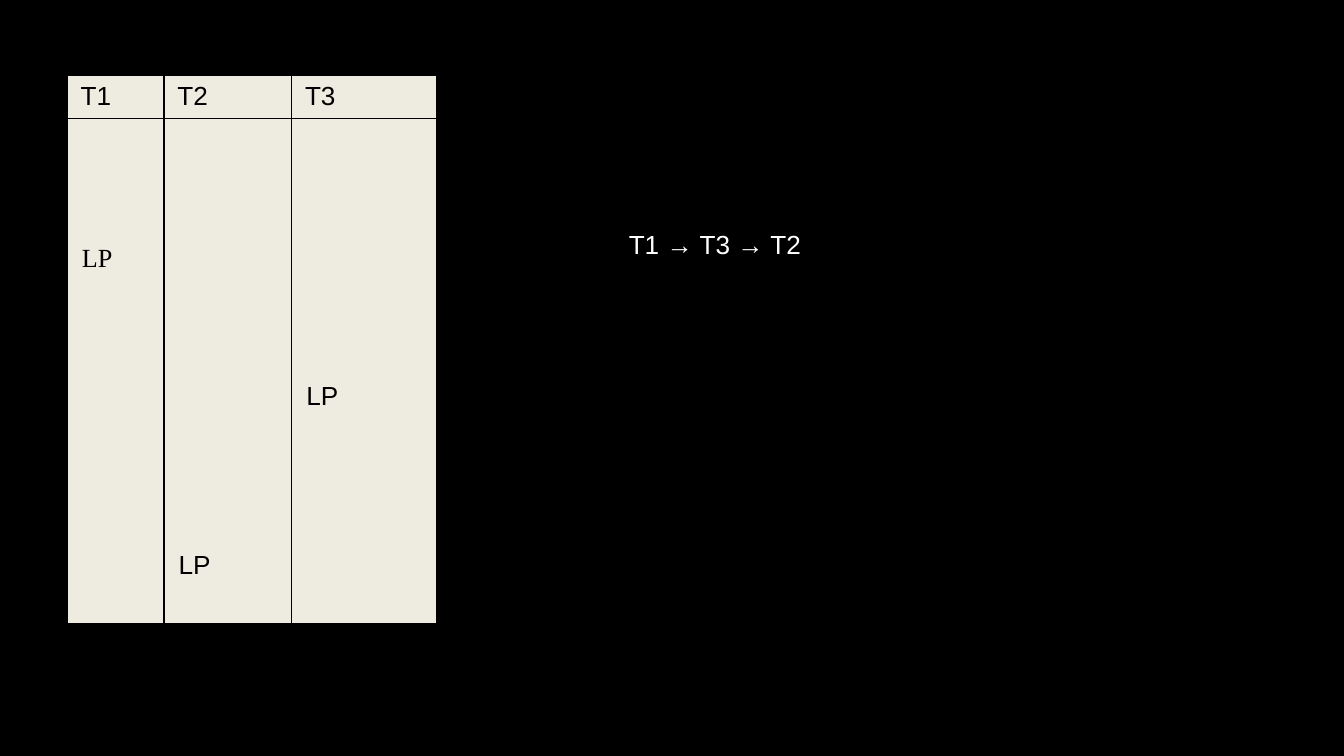
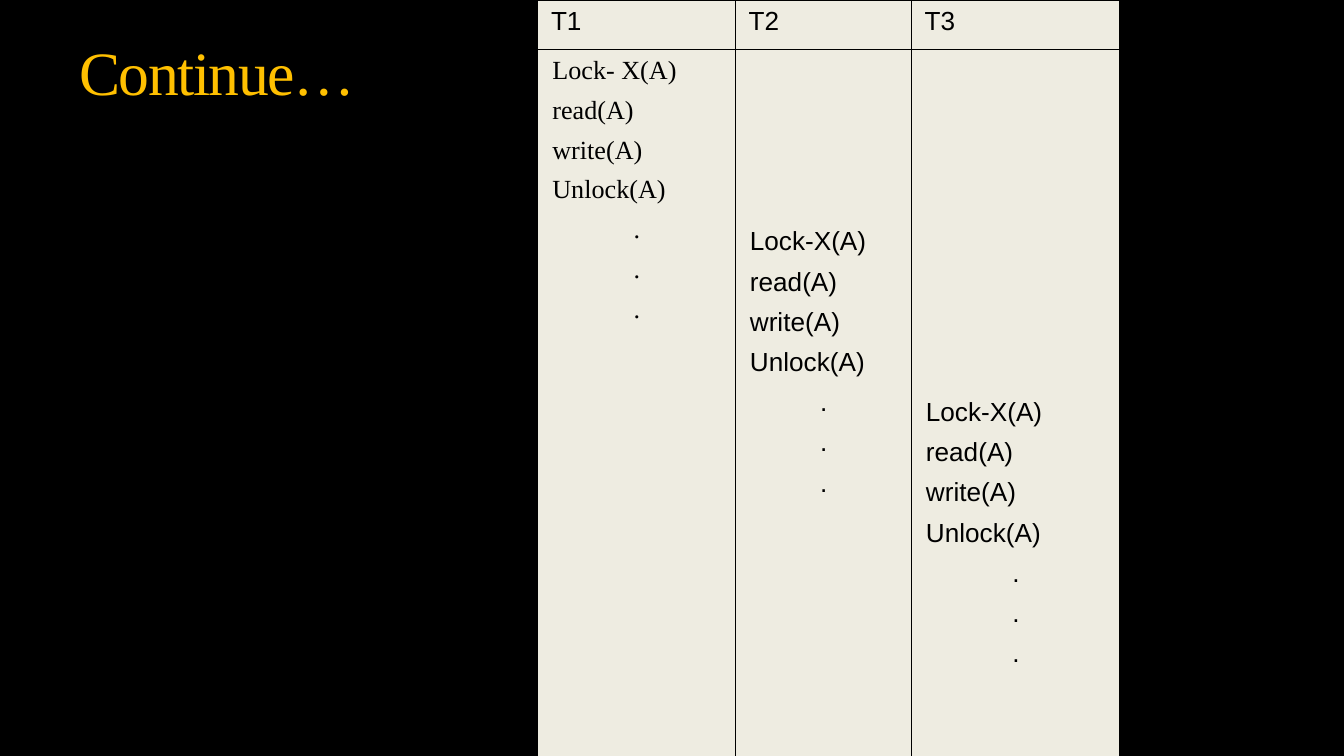
from lxml.etree import SubElement
from pptx import Presentation
from pptx.dml.color import RGBColor
from pptx.enum.text import MSO_AUTO_SIZE as AutoSize, PP_ALIGN as Align
from pptx.oxml.ns import qn
from pptx.util import Inches, Pt

COLORS = {"background": "000000", "cell": "EEECE1", "ink": "000000",
          "title": "FFC000", "light": "FFFFFF"}
SANS, SERIF = "Arial", "Times New Roman"
BODY_SIZE = 14
TRANSACTIONS = ["T1", "T2", "T3"]
COLUMN_FONTS = [SERIF, SANS, SANS]
DOTS = [".", ".", "."]
STEPS = ["read(A)", "write(A)", "Unlock(A)"] + DOTS


def rgb(name):
    return RGBColor.from_string(COLORS[name])


def style(paragraph, size, font_name, color):
    paragraph.font.size = Pt(size)
    paragraph.font.name = font_name
    paragraph.font.color.rgb = rgb(color)


def add_text(slide, box, text, size, font_name, color):
    text_box = slide.shapes.add_textbox(*map(Inches, box))
    frame = text_box.text_frame
    frame.word_wrap = True
    frame.auto_size = AutoSize.SHAPE_TO_FIT_TEXT
    paragraph = frame.paragraphs[0]
    paragraph.text = text
    style(paragraph, size, font_name, color)
    return frame


def add_title(slide, box, text):
    frame = add_text(slide, box, text, 33, SERIF, "title")
    frame.margin_right = frame.margin_bottom = 0
    frame.margin_left = frame.margin_top = Inches(0.01)
    frame.paragraphs[0].runs[0].font._element.set("spc", "-80")


def add_borders(cell):
    properties = cell._tc.get_or_add_tcPr()
    for side in ("lnL", "lnR", "lnT", "lnB"):
        line = SubElement(properties, qn(f"a:{side}"), w=str(Pt(0.75)))
        fill = SubElement(line, qn("a:solidFill"))
        SubElement(fill, qn("a:srgbClr"), val=COLORS["ink"])


def fill_cell(cell, lines, font_name, left=0.1, top=0.05):
    """Write lines starting at the given inset; dots are centred."""
    add_borders(cell)
    cell.fill.solid()
    cell.fill.fore_color.rgb = rgb("cell")
    cell.margin_left, cell.margin_top = Inches(left), Inches(top)
    frame = cell.text_frame
    for index, line in enumerate(lines):
        paragraph = frame.add_paragraph() if index else frame.paragraphs[0]
        paragraph.text = line
        if index:
            paragraph.space_before = Pt(5.8)
        if line == ".":
            paragraph.alignment = Align.CENTER
        style(paragraph, BODY_SIZE, font_name, "ink")


def add_schedule(slide, position, widths, heights, operations, starts):
    """Add a table whose columns each begin their operations at a start depth."""
    size = sum(widths), sum(heights)
    frame = slide.shapes.add_table(2, len(widths), *map(Inches, position + size))
    table = frame.table
    table.first_row = table.horz_banding = False
    for row, height in zip(table.rows, heights):
        row.height = Inches(height)
    for index, width in enumerate(widths):
        table.columns[index].width = Inches(width)
        fill_cell(table.cell(0, index), [TRANSACTIONS[index]], SANS)
        fill_cell(table.cell(1, index), operations[index],
                  COLUMN_FONTS[index], left=0.11, top=starts[index])


def build_lock_points(slide):
    add_schedule(slide, (0.5, 0.56), [0.72, 0.95, 1.08], [0.32, 3.76],
                 [["LP"]] * 3, [0.94, 3.22, 1.96])
    add_text(slide, (4.58, 1.65, 3.25, 0.34), "T1 → T3 → T2",
             BODY_SIZE, SANS, "light")


def build_lock_schedule(slide):
    add_title(slide, (0.58, 0.24, 8.75, 0.57), "Continue…")
    operations = [[lock] + STEPS
                  for lock in ("Lock- X(A)", "Lock-X(A)", "Lock-X(A)")]
    add_schedule(slide, (4, 0), [1.47, 1.31, 1.55], [0.37, 5.43],
                 operations, [0.05, 1.32, 2.59])


def main():
    presentation = Presentation()
    presentation.slide_width = Inches(10)
    presentation.slide_height = Inches(5.625)
    background = presentation.slide_master.background.fill
    background.solid()
    background.fore_color.rgb = rgb("background")
    for build in (build_lock_points, build_lock_schedule):
        build(presentation.slides.add_slide(presentation.slide_layouts[6]))
    presentation.save("out.pptx")


if __name__ == "__main__":
    main()
